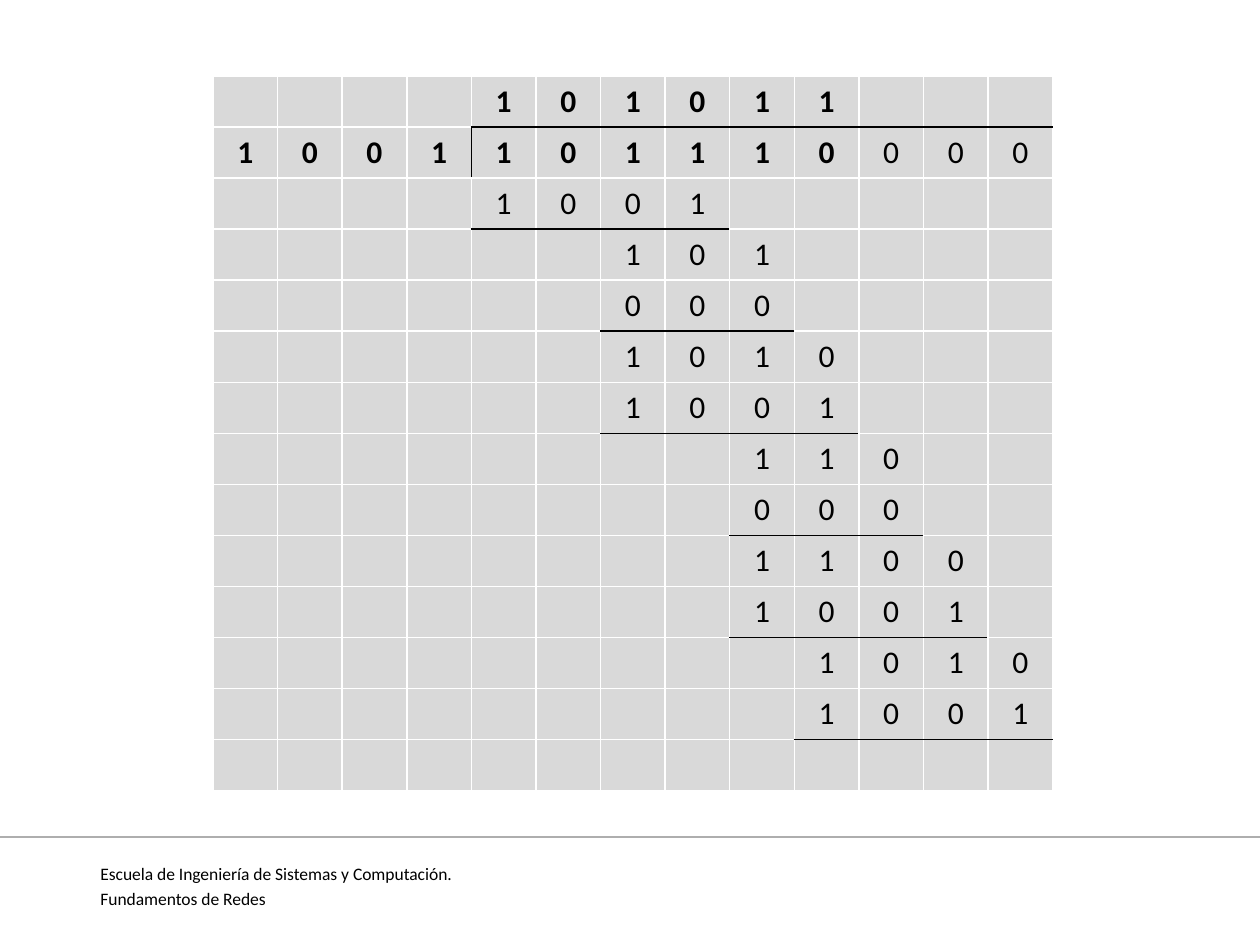
from lxml import etree
from pptx import Presentation
from pptx import util as u
from pptx.dml.color import RGBColor
from pptx.enum import shapes, text
from pptx.oxml import ns

EMU_PER_PX = 914400 / 126
FONT = "Calibri"
BLACK, WHITE, CELL_GRAY, RULE_GRAY = "000000", "FFFFFF", "D9D9D9", "AEAEAE"

COLUMNS = 13
DIVISOR_LENGTH = 4
BOLD_COLUMNS = 10  # divisor and message; the appended zeros stay regular
# First column and digits of each row of the long division
DIVISION_ROWS = [
    (4, "101011"),
    (0, "1001101110000"),
    (4, "1001"),
    (6, "101"),
    (6, "000"),
    (6, "1010"),
    (6, "1001"),
    (8, "110"),
    (8, "000"),
    (8, "1100"),
    (8, "1001"),
    (9, "1010"),
    (9, "1001"),
    (0, ""),
]


def px(value):
    return u.Emu(round(value * EMU_PER_PX))


def color(hex_string):
    return RGBColor.from_string(hex_string)


def set_font(paragraph, size, bold=False):
    font = paragraph.font
    font.name, font.size, font.bold = FONT, u.Pt(size), bold
    font.color.rgb = color(BLACK)


def set_border(cell, side, hex_string):
    """Draw a 1 pt border on side L, R, T or B; call in that order, before the fill."""
    properties = cell._tc.get_or_add_tcPr()
    line = etree.SubElement(properties, ns.qn(f"a:ln{side}"), w=str(u.Pt(1)))
    fill = etree.SubElement(line, ns.qn("a:solidFill"))
    etree.SubElement(fill, ns.qn("a:srgbClr"), val=hex_string)


def ruled_cells():
    """Cells with a black line below: under the quotient and each subtrahend."""
    ruled = {(0, column) for column in range(DIVISOR_LENGTH, COLUMNS)}
    for row in range(2, len(DIVISION_ROWS) - 1, 2):
        start, digits = DIVISION_ROWS[row]
        ruled |= {(row, start + offset) for offset in range(len(digits))}
    return ruled


def add_division_table(slide, left, top, width, height):
    row_count = len(DIVISION_ROWS)
    frame = slide.shapes.add_table(
        row_count, COLUMNS, px(left), px(top), px(width), px(height))
    table = frame.table
    table.first_row = table.horz_banding = False
    for column in table.columns:
        column.width = px(width / COLUMNS)
    for row in table.rows:
        row.height = px(height / row_count)

    ruled = ruled_cells()
    for row, (start, digits) in enumerate(DIVISION_ROWS):
        for column in range(COLUMNS):
            cell = table.cell(row, column)
            black_sides = {
                "L": (row, column) == (1, DIVISOR_LENGTH),
                "R": (row, column) == (1, DIVISOR_LENGTH - 1),
                "T": (row - 1, column) in ruled,
                "B": (row, column) in ruled,
            }
            for side, is_black in black_sides.items():
                set_border(cell, side, BLACK if is_black else WHITE)
            cell.fill.solid()
            cell.fill.fore_color.rgb = color(CELL_GRAY)
            cell.vertical_anchor = text.MSO_ANCHOR.MIDDLE
            paragraph = cell.text_frame.paragraphs[0]
            if start <= column < start + len(digits):
                paragraph.text = digits[column - start]
            paragraph.alignment = text.PP_ALIGN.CENTER
            set_font(paragraph, 18, bold=row < 2 and column < BOLD_COLUMNS)


def add_footer(slide, left, top, width, height):
    """Place the dividing line on the top edge of the box and the course name below it."""
    line = slide.shapes.add_connector(
        shapes.MSO_CONNECTOR.STRAIGHT, px(left), px(top), px(left + width), px(top))
    line.line.color.rgb = color(RULE_GRAY)
    line.line.width = u.Pt(0.75)
    etree.SubElement(line._element.spPr, ns.qn("a:effectLst"))

    box = slide.shapes.add_textbox(
        px(left + 88), px(top + 20), px(width - 128), px(height - 59))
    frame = box.text_frame
    frame.word_wrap = True
    frame.text = "Escuela de Ingeniería de Sistemas y Computación.\nFundamentos de Redes"
    for paragraph in frame.paragraphs:
        paragraph.alignment = text.PP_ALIGN.JUSTIFY
        set_font(paragraph, 10)
    frame.paragraphs[1].space_before = u.Pt(2)


def main():
    presentation = Presentation()
    presentation.slide_width, presentation.slide_height = px(1260), px(945)
    slide = presentation.slides.add_slide(presentation.slide_layouts[6])
    add_footer(slide, 0, 837, 1260, 108)
    add_division_table(slide, 213, 76, 840, 715)
    presentation.save("out.pptx")


if __name__ == "__main__":
    main()
